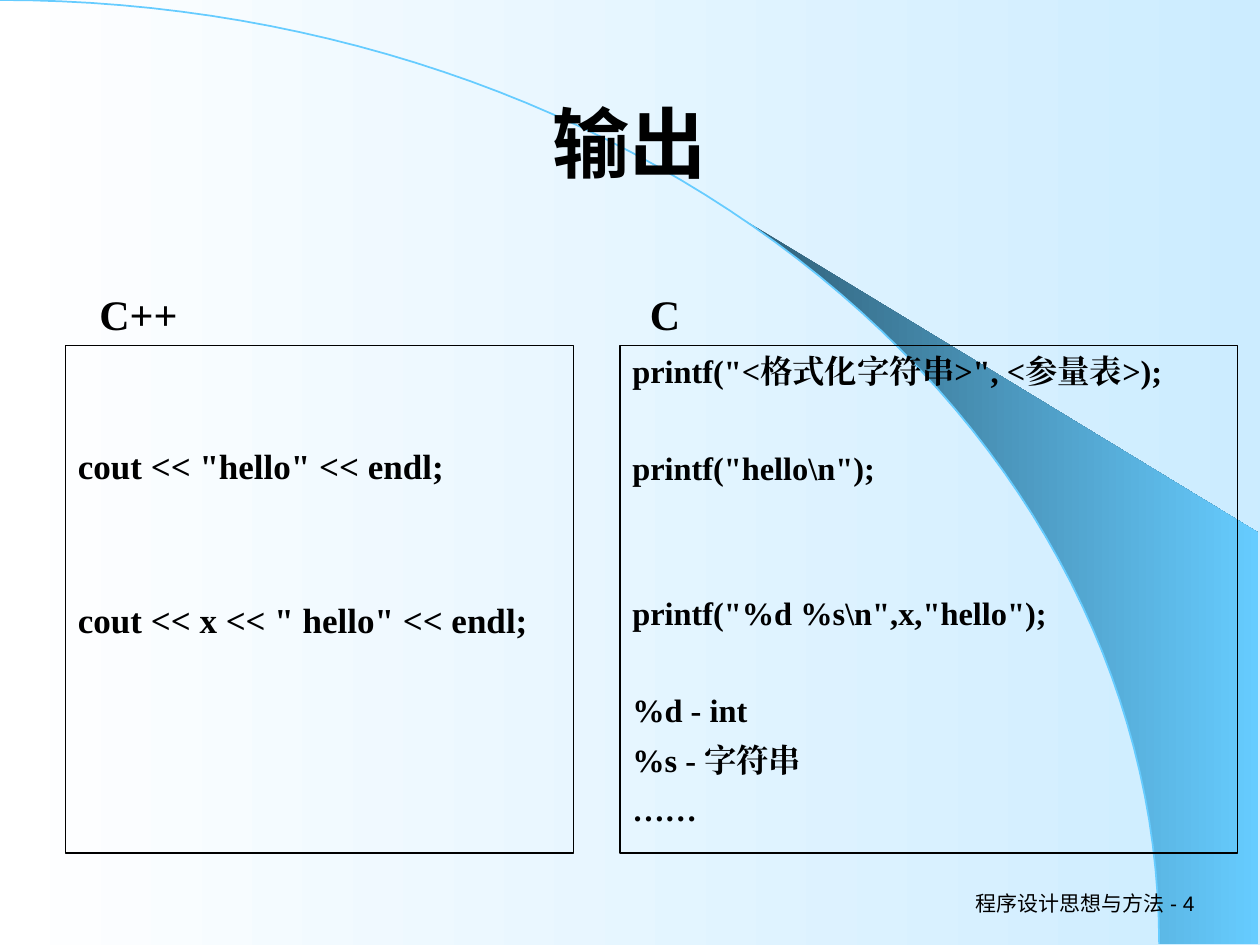
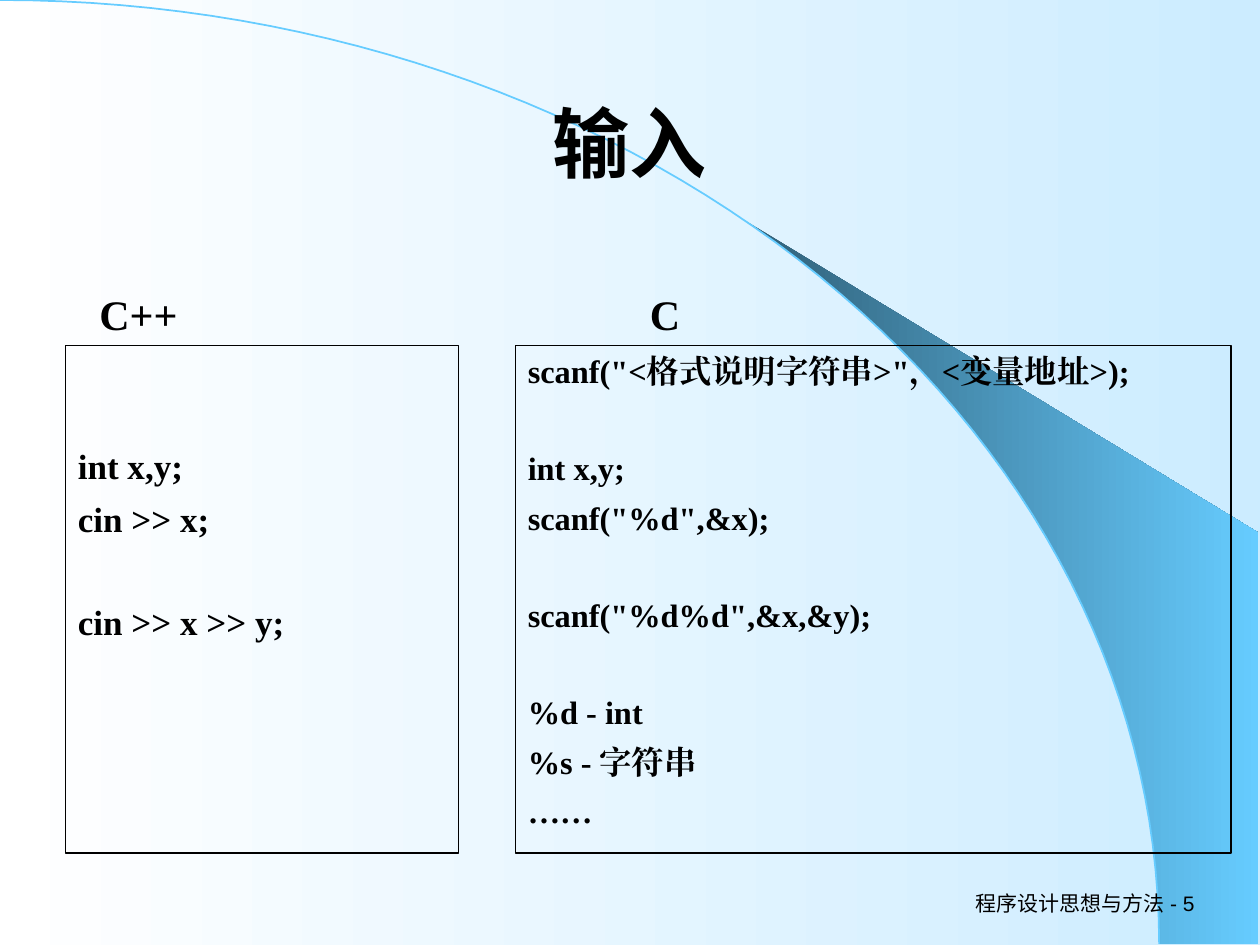
from dataclasses import dataclass
from math import asin, cos, pi, sin

from lxml import etree
from pptx import Presentation
from pptx.dml.color import RGBColor
from pptx.dml.fill import FillFormat
from pptx.enum.shapes import MSO_SHAPE
from pptx.enum.text import MSO_ANCHOR, PP_ALIGN
from pptx.oxml.ns import qn
from pptx.shapes.autoshape import Shape
from pptx.slide import Slide
from pptx.util import Emu, Inches, Pt

RECTANGLE = MSO_SHAPE.RECTANGLE
TOP, MIDDLE, BOTTOM = MSO_ANCHOR.TOP, MSO_ANCHOR.MIDDLE, MSO_ANCHOR.BOTTOM
LEFT, CENTER, RIGHT = PP_ALIGN.LEFT, PP_ALIGN.CENTER, PP_ALIGN.RIGHT

SLIDE_WIDTH, SLIDE_HEIGHT = Inches(10), Inches(7.5)
COLUMNS, ROWS = 100, 75
CELL = SLIDE_WIDTH // COLUMNS


@dataclass(frozen=True)
class Theme:
    text: str = "000000"
    background_start: str = "FFFFFF"
    background_end: str = "CCECFF"
    wedge_start: str = "2F5E76"
    accent: str = "66CCFF"
    sans: str = "Arial"
    serif: str = "Times New Roman"
    title_size: float = 44
    heading_size: float = 24
    cpp_size: float = 20
    c_size: float = 18.5
    footer_size: float = 12
    line_gap: float = 6
    line_height: float = 1.15
    frame_line: float = 0.75
    arc_line: float = 1


@dataclass(frozen=True)
class Area:
    left: float
    top: float
    width: float
    height: float

    def lengths(self) -> list[Emu]:
        return [Emu(round(cells * CELL)) for cells in (self.left, self.top, self.width, self.height)]


@dataclass(frozen=True)
class CodeLine:
    text: str
    skipped_lines: int = 0


@dataclass(frozen=True)
class CodePanel:
    left: float
    width: float
    size: float
    top_inset: float
    lines: tuple[CodeLine, ...]


@dataclass(frozen=True)
class Comparison:
    title: str
    number: int
    panels: tuple[CodePanel, CodePanel]


THEME = Theme()
TITLE_AREA = Area(6.9, 4, 86.2, 14.5)
FOOTER_AREA = Area(75, 70, 20.8, 3.3)
HEADINGS = {"C++": Area(6.9, 18.4, 42.3, 9), "C": Area(50.6, 18.4, 42.5, 9)}
PANEL_TOP, PANEL_HEIGHT = 27.4, 40.3
CPP_LEFT, CPP_INSET, C_INSET = 5.2, 7.9, 0.5

ARC_WIDTH, ARC_HEIGHT = 92, 74.9
WEDGE_LEFT, WEDGE_RIGHT, WEDGE_TOP = 58.9, 99.9, 42.3
ARC_STEPS = 60

FORMAT_LINES = (
    CodeLine("%d - int", 1),
    CodeLine("%s - 字符串"),
    CodeLine("……"),
)

COMPARISONS = (
    Comparison("输出", 4, (
        CodePanel(CPP_LEFT, 40.3, THEME.cpp_size, CPP_INSET, (
            CodeLine('cout << "hello" << endl;'),
            CodeLine('cout << x << " hello" << endl;', 2),
        )),
        CodePanel(49.2, 49, THEME.c_size, C_INSET, (
            CodeLine('printf("<格式化字符串>", <参量表>);'),
            CodeLine(r'printf("hello\n");', 1),
            CodeLine(r'printf("%d %s\n",x,"hello");', 2),
            *FORMAT_LINES,
        )),
    )),
    Comparison("输入", 5, (
        CodePanel(CPP_LEFT, 31.2, THEME.cpp_size, CPP_INSET, (
            CodeLine("int x,y;"),
            CodeLine("cin >> x;"),
            CodeLine("cin >> x >> y;", 1),
        )),
        CodePanel(40.9, 56.8, THEME.c_size, C_INSET, (
            CodeLine('scanf("<格式说明字符串>"，<变量地址>);'),
            CodeLine("int x,y;", 1),
            CodeLine('scanf("%d",&x);'),
            CodeLine('scanf("%d%d",&x,&y);', 1),
            *FORMAT_LINES,
        )),
    )),
)


def color(value: str) -> RGBColor:
    return RGBColor.from_string(value)


def fill_gradient(fill: FillFormat, start: str, end: str) -> None:
    fill.gradient()
    fill.gradient_angle = 0
    for stop, position, value in zip(fill.gradient_stops, (0, 1), (start, end)):
        stop.position = position
        stop.color.rgb = color(value)


def write_text(shape: Shape, lines: tuple[CodeLine, ...], *, size: float, font: str = THEME.serif,
               bold: bool = True, align: PP_ALIGN = LEFT, anchor: MSO_ANCHOR = TOP,
               top_inset: float = 0.5) -> None:
    frame = shape.text_frame
    frame.word_wrap = True
    frame.vertical_anchor = anchor
    frame.margin_top = Emu(round(top_inset * CELL))
    pitch = size * THEME.line_height + THEME.line_gap
    for index, line in enumerate(lines):
        paragraph = frame.add_paragraph() if index else frame.paragraphs[0]
        paragraph.alignment = align
        if index:
            paragraph.space_before = Pt(THEME.line_gap + line.skipped_lines * pitch)
        run = paragraph.add_run()
        run.text = line.text
        run.font.size = Pt(size)
        run.font.bold = bold
        run.font.name = font
        run.font.color.rgb = color(THEME.text)
        etree.SubElement(run.font._element, qn("a:ea"), typeface=font)


def add_label(slide: Slide, text: str, area: Area, **text_format) -> None:
    shape = slide.shapes.add_textbox(*area.lengths())
    write_text(shape, (CodeLine(text),), **text_format)


def arc_points(start: float) -> list[tuple[float, float]]:
    angles = [start + (pi / 2 - start) * step / ARC_STEPS for step in range(ARC_STEPS + 1)]
    return [(ARC_WIDTH * sin(angle), ARC_HEIGHT * (1 - cos(angle))) for angle in angles]


def add_outline(slide: Slide, points: list[tuple[float, float]], closed: bool) -> Shape:
    builder = slide.shapes.build_freeform(*points[0], scale=CELL)
    builder = slide.shapes.build_freeform(
        round(points[0][0] * CELL), round(points[0][1] * CELL), scale=1.0)
    builder.add_line_segments(
        [(round(across * CELL), round(down * CELL)) for across, down in points[1:]], close=closed)
    shape = builder.convert_to_shape()
    shape.shadow.inherit = False
    return shape


def draw_backdrop(slide: Slide, number: int) -> None:
    fill_gradient(slide.background.fill, THEME.background_start, THEME.background_end)
    corners = [(WEDGE_RIGHT, ARC_HEIGHT), (WEDGE_RIGHT, WEDGE_TOP)]
    wedge = add_outline(slide, arc_points(asin(WEDGE_LEFT / ARC_WIDTH)) + corners, True)
    fill_gradient(wedge.fill, THEME.wedge_start, THEME.accent)
    wedge.line.fill.background()
    arc = add_outline(slide, arc_points(0), False)
    arc.fill.background()
    arc.line.color.rgb = color(THEME.accent)
    arc.line.width = Pt(THEME.arc_line)
    add_label(slide, f"程序设计思想与方法 - {number}", FOOTER_AREA, size=THEME.footer_size,
              font=THEME.sans, bold=False, align=RIGHT, anchor=MIDDLE)


def draw_panel(slide: Slide, panel: CodePanel) -> None:
    area = Area(panel.left, PANEL_TOP, panel.width, PANEL_HEIGHT)
    shape = slide.shapes.add_shape(RECTANGLE, *area.lengths())
    shape.shadow.inherit = False
    shape.fill.background()
    shape.line.color.rgb = color(THEME.text)
    shape.line.width = Pt(THEME.frame_line)
    write_text(shape, panel.lines, size=panel.size, top_inset=panel.top_inset)


def draw_comparison(slide: Slide, comparison: Comparison) -> None:
    draw_backdrop(slide, comparison.number)
    add_label(slide, comparison.title, TITLE_AREA, size=THEME.title_size, font=THEME.sans,
              align=CENTER, anchor=MIDDLE)
    for (language, area), panel in zip(HEADINGS.items(), comparison.panels):
        add_label(slide, language, area, size=THEME.heading_size, anchor=BOTTOM)
        draw_panel(slide, panel)


def main() -> None:
    presentation = Presentation()
    presentation.slide_width = SLIDE_WIDTH
    presentation.slide_height = SLIDE_HEIGHT
    blank_layout = presentation.slide_layouts[6]
    for comparison in COMPARISONS:
        draw_comparison(presentation.slides.add_slide(blank_layout), comparison)
    presentation.save("out.pptx")


if __name__ == "__main__":
    main()
